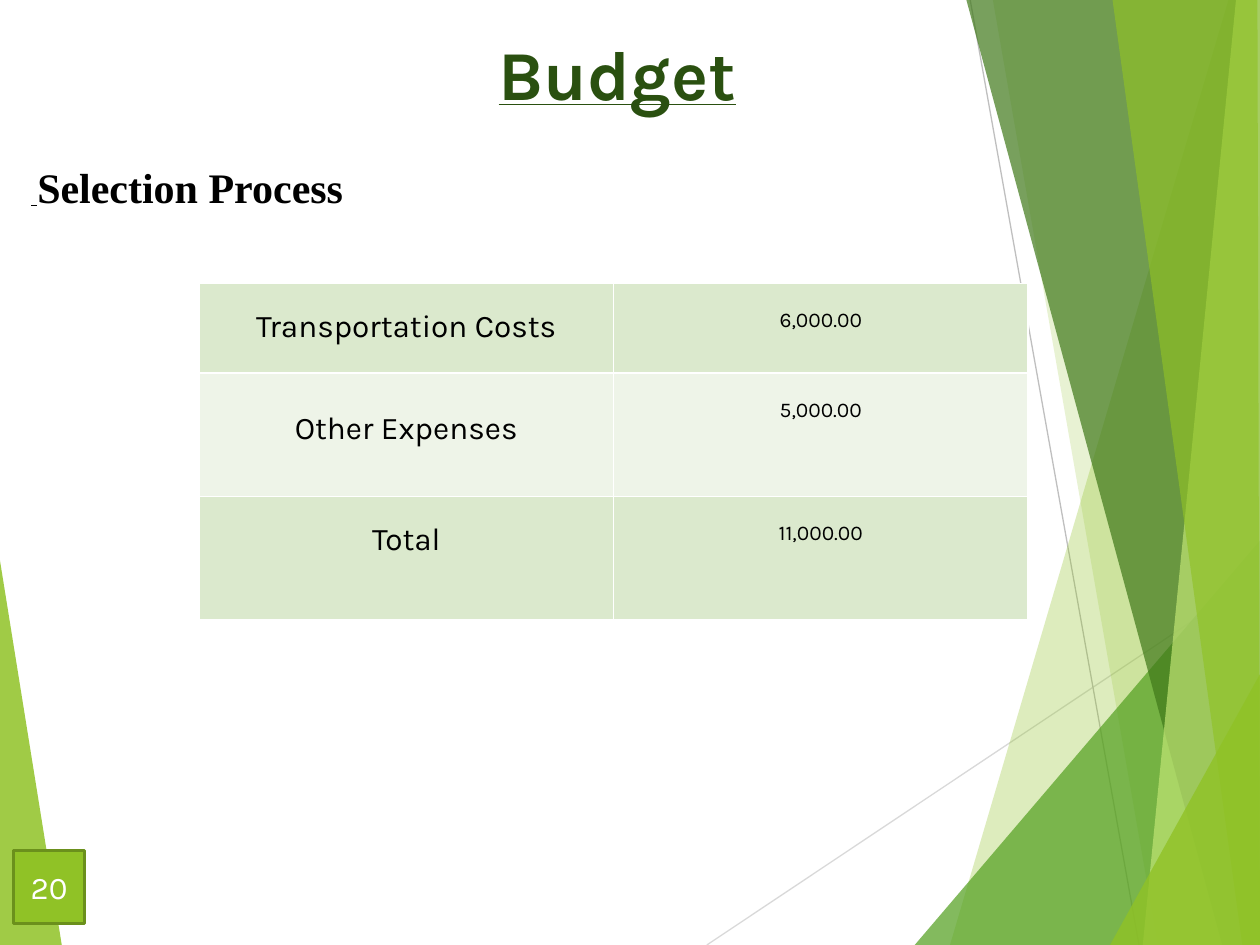
from lxml.etree import SubElement
from pptx import Presentation
from pptx.dml.color import RGBColor
from pptx.enum.shapes import MSO_CONNECTOR, MSO_SHAPE
from pptx.enum.text import MSO_ANCHOR, PP_ALIGN
from pptx.oxml.ns import qn
from pptx.util import Inches, Pt


def tint(code):
    return RGBColor.from_string(code)


class Deck:
    font = "Karla"
    ink = "000000"
    lime = "90C226"
    white = "FFFFFF"

    def __init__(self):
        self.prs = Presentation()
        self.prs.slide_width, self.prs.slide_height = Inches(10), Inches(7.5)
        self.slide = self.prs.slides.add_slide(self.prs.slide_layouts[5])
        self.shapes = self.slide.shapes

    def frame(self, frame, anchor=MSO_ANCHOR.TOP):
        look = {"word_wrap": True, "vertical_anchor": anchor,
                "margin_left": 0, "margin_right": 0,
                "margin_top": 0, "margin_bottom": 0}
        for key, value in look.items():
            setattr(frame, key, value)

    def words(self, par, text, size, color=ink, align=PP_ALIGN.CENTER, **more):
        par.alignment = align
        run = par.add_run()
        run.text = text
        look = {"name": self.font, "size": Pt(size), "bold": False, **more}
        for key, value in look.items():
            setattr(run.font, key, value)
        run.font.color.rgb = tint(color)

    def title(self, text, box):
        head = self.shapes.title
        head.left, head.top, head.width, head.height = map(Inches, box)
        self.frame(head.text_frame)
        self.words(head.text_frame.paragraphs[0], text, 40, "2A5010",
                   bold=True, underline=True)

    def label(self, runs, box):
        area = self.shapes.add_textbox(*map(Inches, box)).text_frame
        self.frame(area)
        for text, size, look in runs:
            self.words(area.paragraphs[0], text, size,
                       align=PP_ALIGN.LEFT, **look)

    def facet(self, points, color, alpha):
        spots = [(Inches(x), Inches(y)) for x, y in points]
        pen = self.shapes.build_freeform(*spots[0])
        pen.add_line_segments(spots[1:], close=True)
        shape = pen.convert_to_shape()
        shape.shadow.inherit = False
        shape.line.fill.background()
        shape.fill.solid()
        shape.fill.fore_color.rgb = tint(color)
        node = shape._element.spPr.find(
            qn("a:solidFill") + "/" + qn("a:srgbClr"))
        SubElement(node, qn("a:alpha"), val=str(alpha * 1000))

    def line(self, start, end, color):
        line = self.shapes.add_connector(
            MSO_CONNECTOR.STRAIGHT, *map(Inches, start + end))
        line.line.color.rgb = tint(color)
        line.line.width = Pt(0.75)
        SubElement(line._element.spPr, qn("a:effectLst"))

    def badge(self, text, box):
        shape = self.shapes.add_shape(MSO_SHAPE.RECTANGLE, *map(Inches, box))
        shape.shadow.inherit = False
        shape.fill.solid()
        shape.fill.fore_color.rgb = tint(self.lime)
        shape.line.color.rgb = tint("6B901C")
        shape.line.width = Pt(1.5)
        self.frame(shape.text_frame, MSO_ANCHOR.MIDDLE)
        self.words(shape.text_frame.paragraphs[0], text, 18, self.white)

    def border(self, cell):
        props = cell._tc.get_or_add_tcPr()
        for at, side in enumerate(("lnL", "lnR", "lnT", "lnB")):
            edge = props.makeelement(qn("a:" + side), {"w": str(Pt(1))})
            fill = SubElement(edge, qn("a:solidFill"))
            SubElement(fill, qn("a:srgbClr"), val=self.white)
            props.insert(at, edge)

    def table(self, rows, box, highs):
        grid = self.shapes.add_table(len(rows), 2, *map(Inches, box)).table
        grid.first_row = False
        for i, (name, cost, top) in enumerate(rows):
            grid.rows[i].height = Inches(highs[i])
            for j, (text, size, gap) in enumerate(
                    [(name, 18, top), (cost, 12, 0.2)]):
                cell = grid.cell(i, j)
                cell.fill.solid()
                cell.fill.fore_color.rgb = tint(("DBE9CD", "EEF4E8")[i % 2])
                cell.margin_left = cell.margin_right = Inches(0.07)
                cell.margin_top, cell.margin_bottom = Inches(gap), 0
                self.words(cell.text_frame.paragraphs[0], text, size)
                self.border(cell)


deck = Deck()
lime = deck.lime

# Backdrop: left wedge, thin lines, right facets
deck.facet([(0, 4.45), (0.49, 7.5), (0, 7.5)], lime, 85)
deck.line((5.61, 7.5), (10, 4.57), "D9D9D9")
deck.line((7.7, 0), (9.04, 7.5), "BFBFBF")
right, foot = (10, 0), (10, 7.5)
for points, color, alpha in [
    ([(9.75, 0), (7.54, 7.5), foot, right], lime, 30),
    ([(7.88, 0), (9.19, 7.5), foot, right], lime, 20),
    ([(7.26, 7.5), (10, 4.29), foot], "54A021", 72),
    ([(7.67, 0), (9.7, 7.5), foot, right], "3F7819", 70),
    ([(9.81, 0), (9.07, 7.5), foot, right], "C0E474", 70),
    ([(8.83, 0), (9.86, 7.5), foot, (9.98, 0)], lime, 65),
    ([(8.81, 7.5), (10, 5.35), foot], lime, 80),
]:
    deck.facet(points, color, alpha)

# Budget table
deck.table([("Transportation Costs", "6,000.00", 0.2),
            ("Other Expenses", "5,000.00", 0.3),
            ("Total", "11,000.00", 0.2)],
           (1.58, 2.25, 6.58, 2.67), (0.71, 0.98, 0.98))

# Headings
deck.title("Budget", (2.9, 0.24, 4, 0.7))
deck.label([(" ", 12, {"name": "Arial", "bold": True, "underline": True}),
            ("Selection Process", 24,
             {"name": "Times New Roman", "bold": True})],
           (0.25, 1.28, 7, 0.45))

# Slide number
deck.badge("20", (0.11, 6.75, 0.56, 0.58))

deck.prs.save("out.pptx")
